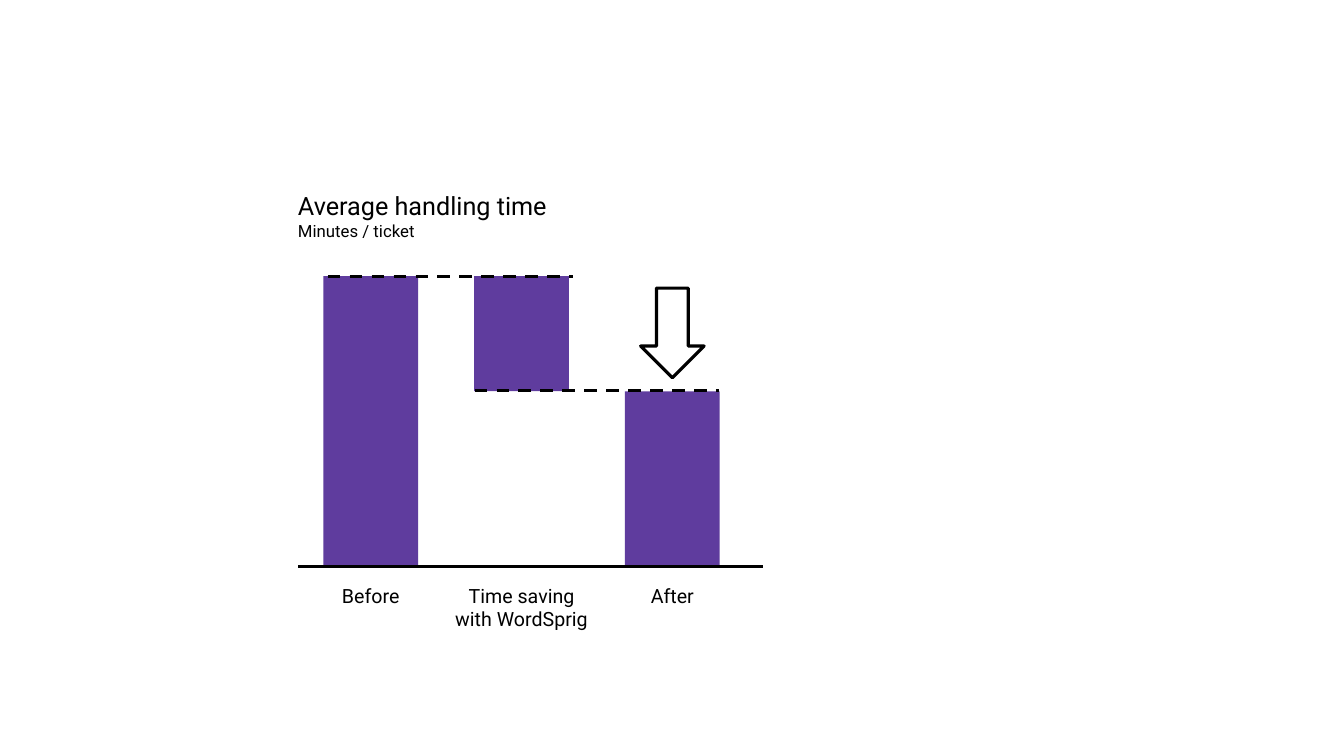
import pptx
import pptx.util
import pptx.dml.color
import pptx.enum.dml
import pptx.enum.shapes
import pptx.enum.text
import pptx.oxml
from pptx.util import Cm

# Content
COLORS = {"bar": "5F3C9E", "ink": "000000"}
FONT = "Roboto"
HEADING = [("Average handling time", 18), ("Minutes / ticket", 12)]
BEFORE_TOP, AFTER_TOP, BASE = 6.96, 9.86, 14.27
BARS = [  # label, label width, label wraps, bar top, bar bottom
    ("Before", 1.98, False, BEFORE_TOP, BASE),
    ("Time saving with WordSprig", 4.11, True, BEFORE_TOP, AFTER_TOP),
    ("After", 1.6, False, AFTER_TOP, BASE),
]
LINES = [  # left, right, height on slide, dashed
    (7.52, 19.23, BASE, False),
    (11.96, 18.11, AFTER_TOP - 0.03, True),
    (8.26, 14.43, BEFORE_TOP, True),
]

# Layout in centimetres
FIRST_BAR, BAR_WIDTH, BAR_PITCH = 8.15, 2.39, 3.8
LABEL_TOP, LABEL_HEIGHT = 14.58, 0.86
ARROW_TOP, ARROW_WIDTH, ARROW_HEIGHT = 7.26, 1.6, 2.26

presentation = pptx.Presentation()
presentation.slide_width, presentation.slide_height = Cm(33.87), Cm(19.05)
slide = presentation.slides.add_slide(presentation.slide_layouts[6])


def color(name):
    return pptx.dml.color.RGBColor.from_string(COLORS[name])


def add_text(rows, left, top, width, height, alignment, wrap=False):
    box = slide.shapes.add_textbox(Cm(left), Cm(top), Cm(width), Cm(height))
    frame = box.text_frame
    frame.word_wrap = wrap
    frame.auto_size = pptx.enum.text.MSO_AUTO_SIZE.SHAPE_TO_FIT_TEXT
    frame.text = "\n".join(text for text, size in rows)
    for paragraph, (text, size) in zip(frame.paragraphs, rows):
        paragraph.alignment = alignment
        paragraph.font.name = FONT
        paragraph.font.size = pptx.util.Pt(size)
        paragraph.font.color.rgb = color("ink")


def add_shape(kind, left, top, width, height):
    shape = slide.shapes.add_shape(kind, Cm(left), Cm(top), Cm(width), Cm(height))
    shape.shadow.inherit = False
    return shape


def style_line(line):
    line.color.rgb = color("ink")
    line.width = pptx.util.Pt(2.25)


# Heading
add_text(HEADING, 7.26, 4.67, 6.86, 1.55, pptx.enum.text.PP_ALIGN.LEFT)

# Bars with their labels
for index, (label, label_width, wrap, top, bottom) in enumerate(BARS):
    left = FIRST_BAR + index * BAR_PITCH
    center = left + BAR_WIDTH / 2
    bar = add_shape(pptx.enum.shapes.MSO_SHAPE.RECTANGLE,
                    left, top, BAR_WIDTH, bottom - top)
    bar.fill.solid()
    bar.fill.fore_color.rgb = color("bar")
    bar.line.fill.background()
    add_text([(label, 14)], center - label_width / 2, LABEL_TOP, label_width,
             LABEL_HEIGHT * (1.69 if wrap else 1),
             pptx.enum.text.PP_ALIGN.CENTER, wrap)

# Arrow above the last bar
arrow = add_shape(pptx.enum.shapes.MSO_SHAPE.DOWN_ARROW,
                  center - ARROW_WIDTH / 2, ARROW_TOP, ARROW_WIDTH, ARROW_HEIGHT)
arrow.fill.background()
style_line(arrow.line)

# Baseline and dashed level lines
for left, right, height, dashed in LINES:
    connector = slide.shapes.add_connector(
        pptx.enum.shapes.MSO_CONNECTOR.STRAIGHT,
        Cm(left), Cm(height), Cm(right), Cm(height))
    style_line(connector.line)
    if dashed:
        connector.line.dash_style = pptx.enum.dml.MSO_LINE.DASH
    connector.element.spPr.append(pptx.oxml.parse_xml(
        '<a:effectLst xmlns:a="http://schemas.openxmlformats.org/drawingml/2006/main"/>'))

presentation.save("out.pptx")
